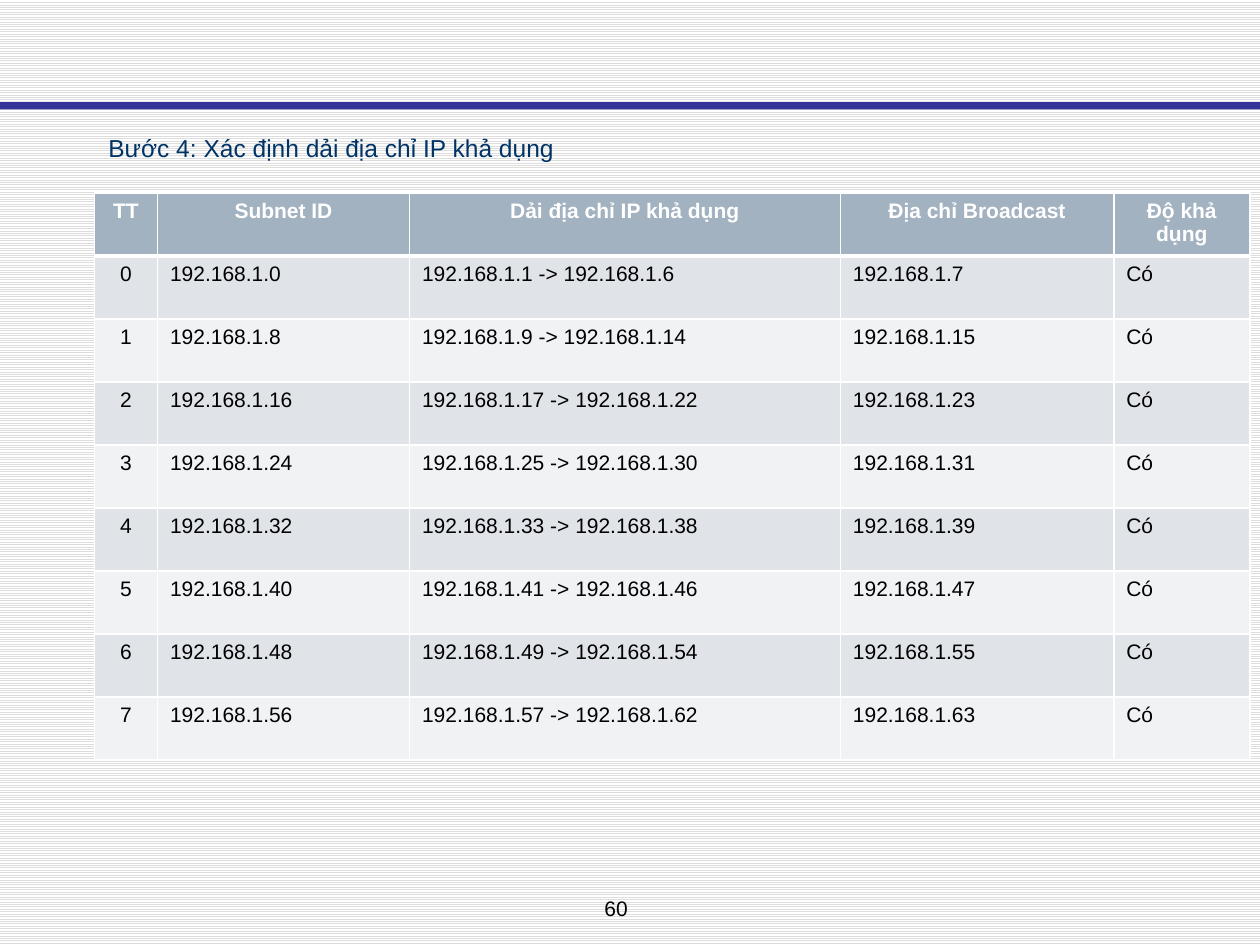
from lxml import etree
from pptx import Presentation
from pptx import util as u
from pptx.dml.color import RGBColor
from pptx.enum import dml, shapes, text
from pptx.oxml.ns import qn

INK = {"rule": "333399", "head": "A3B2C1", "odd": "E0E4E9", "even": "F0F2F4",
       "lead": "003366", "text": "000000", "white": "FFFFFF", "grid": "DDDDDD"}
WIDE, HIGH = u.Inches(10), u.Inches(7.5)
COLS = [0.5, 2, 3.42, 2.17, 1.08]
ROW = 0.5
HEAD = ["TT", "Subnet ID", "Dải địa chỉ IP khả dụng", "Địa chỉ Broadcast", "Độ khả dụng"]
NETS, STEP = 8, 8


def tint(name):
    return RGBColor.from_string(INK[name])


def style(para, size, ink, bold=False, align=text.PP_ALIGN.LEFT):
    para.alignment = align
    for run in para.runs:
        font = run.font
        font.name, font.size, font.bold = "Arial", u.Pt(size), bold
        font.color.rgb = tint(ink)


def paint(slide):
    """Fill the background with fine horizontal lines."""
    fill = slide.background.fill
    fill.patterned()
    fill.pattern = dml.MSO_PATTERN.LIGHT_HORIZONTAL
    fill.fore_color.rgb = tint("grid")
    fill.back_color.rgb = tint("white")


def add_rule(slide):
    bar = slide.shapes.add_shape(shapes.MSO_SHAPE.RECTANGLE, 0, u.Inches(0.81), WIDE, u.Inches(0.06))
    bar.shadow.inherit = False
    bar.fill.solid()
    bar.fill.fore_color.rgb = tint("rule")
    bar.line.fill.background()


def add_page(slide, label):
    box = slide.shapes.add_textbox(u.Inches(4.08), u.Inches(7.06), u.Inches(1.62), u.Inches(0.3))
    box.text_frame.word_wrap = True
    box.text_frame.text = label
    style(box.text_frame.paragraphs[0], 12, "text", align=text.PP_ALIGN.CENTER)


def set_lead(slide, words):
    """Put the step's heading in the body placeholder, without a bullet."""
    body = slide.placeholders[1]
    body.left, body.top = u.Inches(0.76), u.Inches(0.92)
    body.width, body.height = u.Inches(8.85), u.Inches(6.42)
    frame = body.text_frame
    frame.auto_size = text.MSO_AUTO_SIZE.NONE
    frame.text = words
    para = frame.paragraphs[0]
    para.line_spacing, para.space_before = 1.35, u.Pt(5)
    style(para, 14, "lead")
    props = para._p.get_or_add_pPr()
    props.set("marL", "0")
    props.set("indent", "0")
    etree.SubElement(props, qn("a:buNone"))


def edge(cell, base):
    """Draw white cell borders; base is the width of the lower one."""
    props = cell._tc.get_or_add_tcPr()
    for spot, (side, size) in enumerate(zip("LRTB", (1, 1, 1, base))):
        line = etree.Element(qn("a:ln" + side), w=str(u.Pt(size)))
        fill = etree.SubElement(line, qn("a:solidFill"))
        etree.SubElement(fill, qn("a:srgbClr"), val=INK["white"])
        props.insert(spot, line)


def subnet(num):
    """List the table row of one subnet."""
    net = "192.168.1."
    first = num * STEP
    last = first + STEP - 1
    return [str(num), f"{net}{first}", f"{net}{first + 1} -> {net}{last - 1}", f"{net}{last}", "Có"]


def add_grid(slide, rows):
    table = slide.shapes.add_table(len(rows), len(COLS), u.Inches(0.75), u.Inches(1.53),
                                   u.Inches(sum(COLS)), u.Inches(ROW * len(rows))).table
    for col, width in zip(table.columns, COLS):
        col.width = u.Inches(width)
    for r, row in enumerate(rows):
        top = r == 0
        for c, words in enumerate(row):
            cell = table.cell(r, c)
            cell.text = words
            mid = top or c == 0
            style(cell.text_frame.paragraphs[0], 12, "white" if top else "text", top,
                  text.PP_ALIGN.CENTER if mid else text.PP_ALIGN.LEFT)
            cell.fill.solid()
            cell.fill.fore_color.rgb = tint("head" if top else "odd" if r % 2 else "even")
            edge(cell, 3 if top else 1)


def main():
    deck = Presentation()
    deck.slide_width, deck.slide_height = WIDE, HIGH
    slide = deck.slides.add_slide(deck.slide_layouts[1])
    title = slide.shapes.title.element
    title.getparent().remove(title)
    paint(slide)
    add_rule(slide)
    add_page(slide, "60")
    set_lead(slide, "Bước 4: Xác định dải địa chỉ IP khả dụng")
    add_grid(slide, [HEAD] + [subnet(n) for n in range(NETS)])
    deck.save("out.pptx")


if __name__ == "__main__":
    main()
